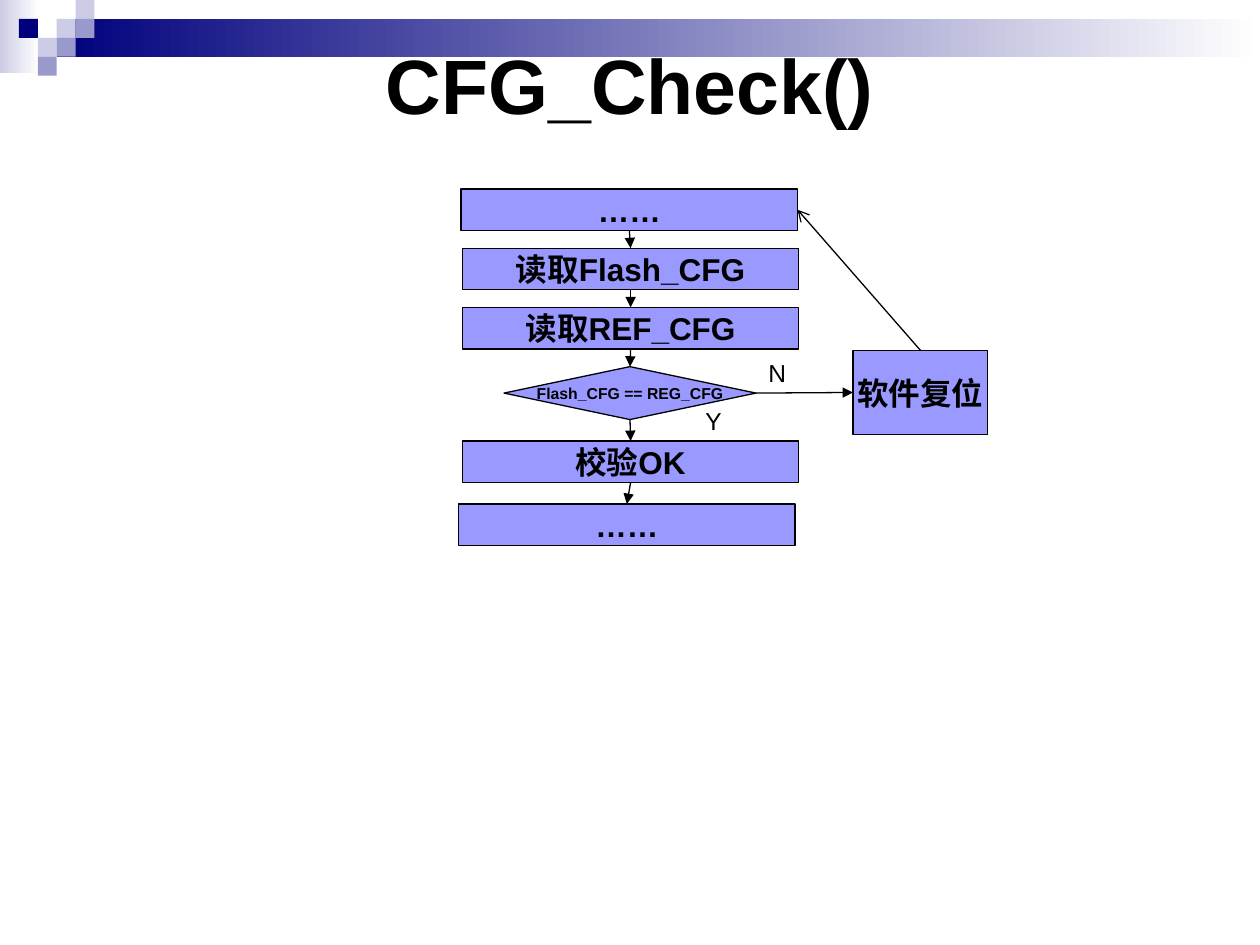
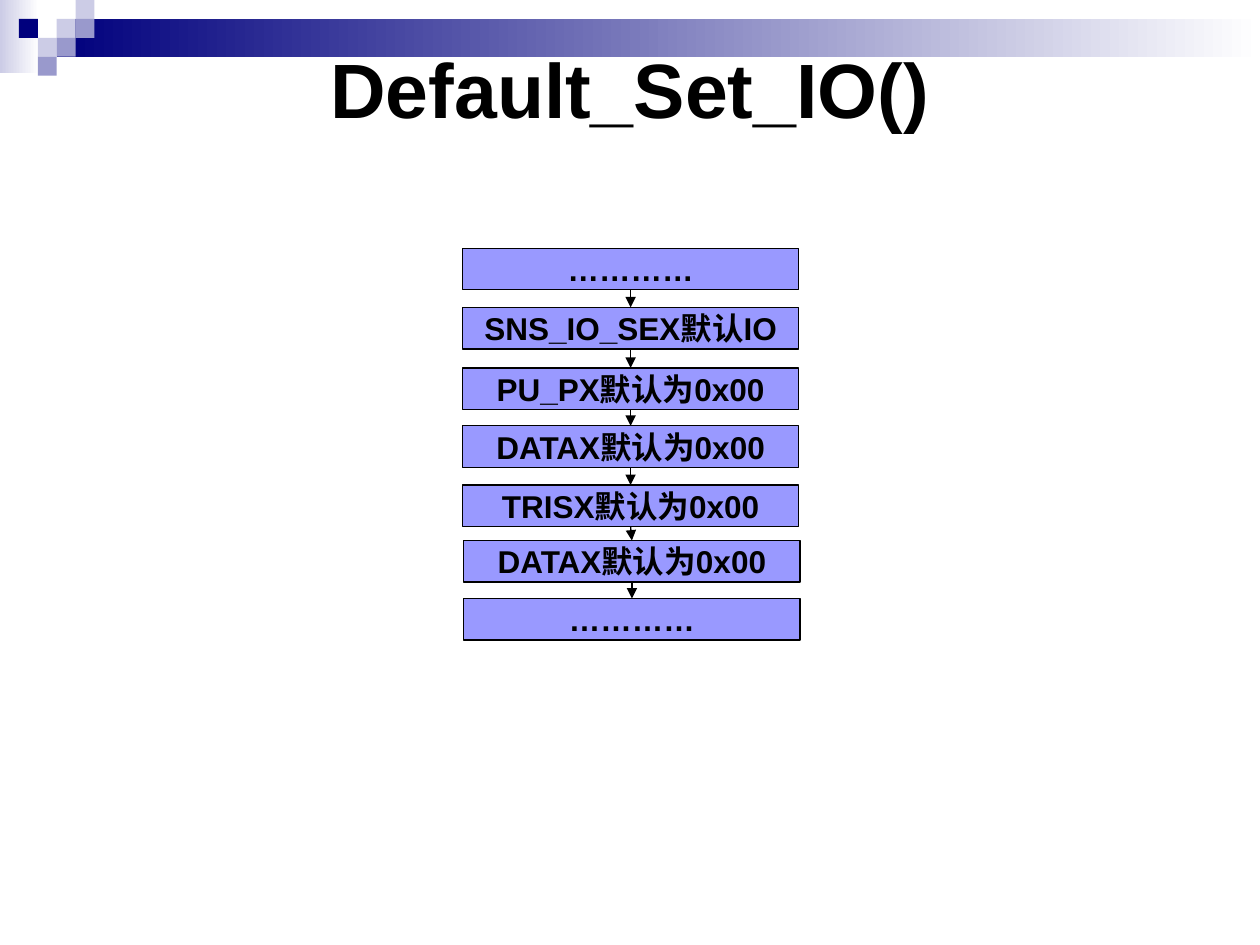
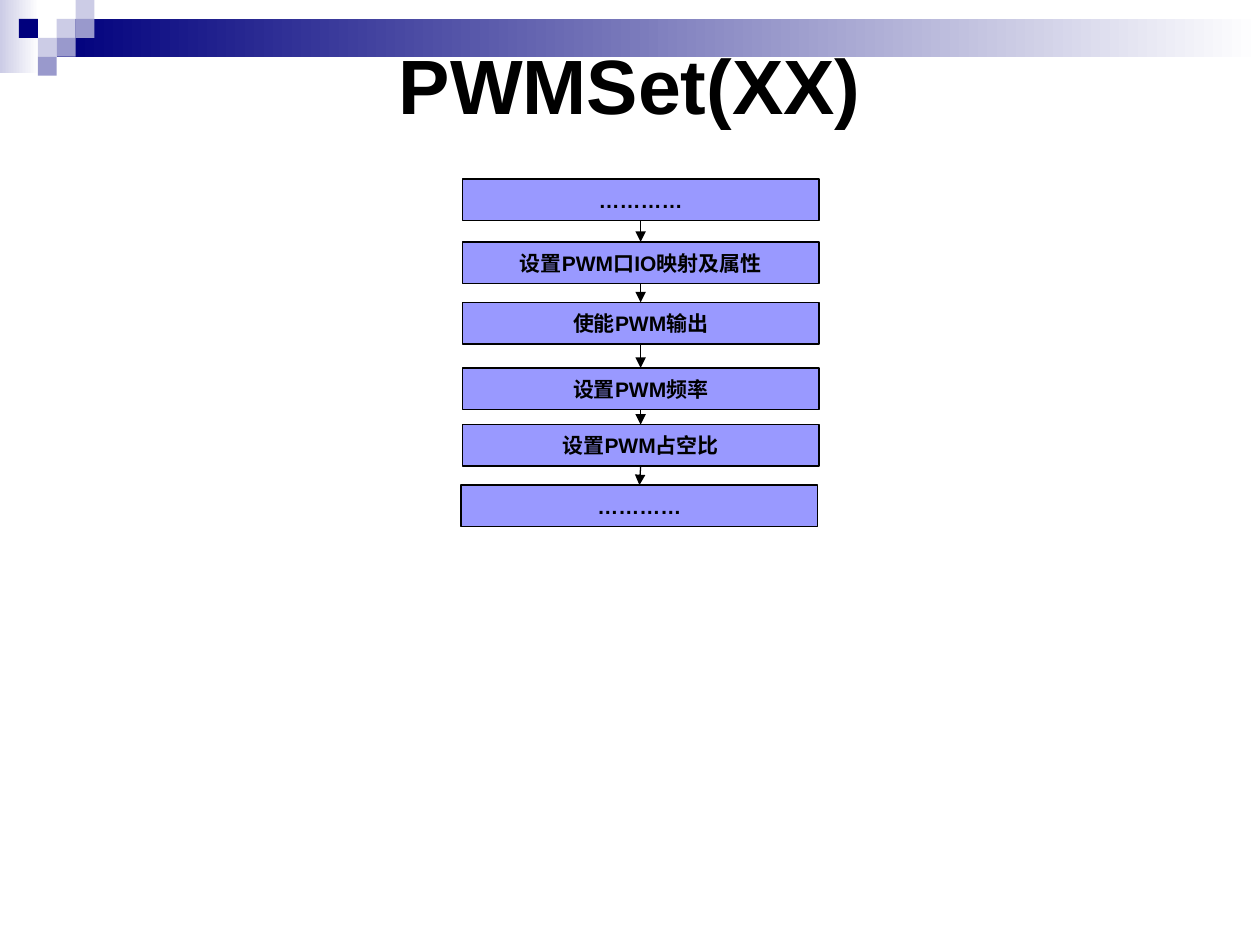
from itertools import pairwise
from lxml import etree
from pptx import Presentation
from pptx.dml.color import RGBColor
from pptx.enum.shapes import MSO_CONNECTOR, MSO_SHAPE
from pptx.enum.text import MSO_ANCHOR, MSO_AUTO_SIZE, PP_ALIGN
from pptx.oxml.ns import qn
from pptx.util import Inches, Pt

RECT, DIAMOND = MSO_SHAPE.RECTANGLE, MSO_SHAPE.DIAMOND
STRAIGHT = MSO_CONNECTOR.STRAIGHT
MIDDLE, TOP_ANCHOR = MSO_ANCHOR.MIDDLE, MSO_ANCHOR.TOP
CENTER, LEFT_ALIGN = PP_ALIGN.CENTER, PP_ALIGN.LEFT
FIXED = MSO_AUTO_SIZE.NONE
TOP, LEFT, BOTTOM, RIGHT = range(4)

FONT = "Arial"
BLACK, WHITE, BOX = "000000", "FFFFFF", "9999FF"
NAVY, PALE, MID = "00007D", "CCCCE6", "9999CC"
ROW = 0.33  # height of a step
TILE = 0.15  # side of a corner square


def rgb(code):
    return RGBColor.from_string(code)


def place(part, x, y, w, h):
    part.left, part.top = Inches(x), Inches(y)
    part.width, part.height = Inches(w), Inches(h)


def write(part, words, size=18, bold=True, align=CENTER, anchor=MIDDLE, wrap=True):
    frame = part.text_frame
    frame.word_wrap, frame.auto_size = wrap, FIXED
    frame.vertical_anchor = anchor
    para = frame.paragraphs[0]
    para.alignment = align
    run = para.add_run()
    run.text = words
    font = run.font
    font.name, font.size, font.bold = FONT, Pt(size), bold
    font.color.rgb = rgb(BLACK)


def shape(shapes, kind, x, y, w, h, fill, fade=None, line=None):
    part = shapes.add_shape(kind, Inches(x), Inches(y), Inches(w), Inches(h))
    part.shadow.inherit = False
    if fade:
        part.fill.gradient()
        part.fill.gradient_angle = 0
        for stop, code in zip(part.fill.gradient_stops, (fill, fade)):
            stop.color.rgb = rgb(code)
    else:
        part.fill.solid()
        part.fill.fore_color.rgb = rgb(fill)
    if line:
        part.line.color.rgb = rgb(line)
        part.line.width = Pt(0.75)
    else:
        part.line.fill.background()
    return part


def step(slide, words, x, y, w, h=ROW, size=18, kind=RECT):
    part = shape(slide.shapes, kind, x, y, w, h, BOX, line=BLACK)
    write(part, words, size=size, wrap=False)
    return part


def link(slide, start, end, out=BOTTOM, into=TOP, head="triangle"):
    wire = slide.shapes.add_connector(STRAIGHT, 0, 0, 0, 0)
    wire.begin_connect(start, out)
    wire.end_connect(end, into)
    wire.line.color.rgb = rgb(BLACK)
    wire.line.width = Pt(0.75)
    etree.SubElement(wire.line._get_or_add_ln(), qn("a:tailEnd"), type=head)
    etree.SubElement(wire._element.spPr, qn("a:effectLst"))


def note(slide, words, x, y):
    part = slide.shapes.add_textbox(Inches(x), Inches(y), Inches(0.33), Inches(0.34))
    write(part, words, size=14, bold=False, align=LEFT_ALIGN, anchor=TOP_ANCHOR)


def flow(slide, x, y, w, rows, size=18):
    """Stack of joined steps; each row is text, drop and side shift from x, y."""
    steps = [step(slide, words, x + shift, y + drop, w, size=size)
             for words, drop, shift in rows]
    for start, end in pairwise(steps):
        link(slide, start, end)
    return steps


def band(deck, slide):
    """Corner squares and faded bar, grouped and moved to the master."""
    group = slide.shapes.add_group_shape()
    shape(group.shapes, RECT, 0, 0, 0.31, 0.58, PALE, fade=WHITE)
    shape(group.shapes, RECT, 0.45, 0.15, 9.55, 0.3, NAVY, fade=WHITE)
    tiles = [(3, 1, PALE), (4, 0, PALE), (4, 1, MID), (2, 2, PALE),
             (1, 1, NAVY), (3, 2, MID), (2, 3, MID)]
    for col, row, fill in tiles:
        shape(group.shapes, RECT, col * TILE, row * TILE, TILE, TILE, fill)
    deck.slide_master.shapes.element.insert(2, group._element)


def page(deck, title, y=0.5, h=0.33):
    slide = deck.slides.add_slide(deck.slide_layouts[5])
    place(slide.shapes.title, 0.5, y, 9, h)
    write(slide.shapes.title, title, size=44)
    return slide


def check(slide, x, y):
    """Configuration check with a test and a reset branch."""
    w = 2.67
    read = flow(slide, x, y, w, [("……", 0, -0.01), ("读取Flash_CFG", 0.47, 0),
                                 ("读取REF_CFG", 0.94, 0)])
    done = flow(slide, x, y, w, [("校验OK", 2, 0), ("……", 2.5, -0.03)])
    test = step(slide, "Flash_CFG == REG_CFG", x + 0.33, y + 1.41, 2, 0.42,
                size=9, kind=DIAMOND)
    reset = step(slide, "软件复位", x + 3.1, y + 1.28, 1.07, 0.67)
    link(slide, read[-1], test)
    link(slide, test, done[0])
    link(slide, test, reset, RIGHT, LEFT)
    link(slide, reset, read[0], TOP, RIGHT, head="arrow")
    note(slide, "Y", x + 1.83, y + 1.67)
    note(slide, "N", x + 2.33, y + 1.29)


def main():
    deck = Presentation()
    deck.slide_width, deck.slide_height = Inches(10), Inches(7.5)

    # Configuration check
    slide = page(deck, "CFG_Check()")
    band(deck, slide)
    check(slide, 3.67, 1.5)

    # Default port settings
    slide = page(deck, "Default_Set_IO()", y=0.42, h=0.55)
    flow(slide, 3.67, 1.97, 2.67, [
        ("…………", 0, 0), ("SNS_IO_SEX默认IO", 0.47, 0),
        ("PU_PX默认为0x00", 0.95, 0), ("DATAX默认为0x00", 1.41, 0),
        ("TRISX默认为0x00", 1.88, 0), ("DATAX默认为0x00", 2.32, 0.01),
        ("…………", 2.78, 0.01)])

    # PWM settings
    slide = page(deck, "PWMSet(XX)")
    flow(slide, 3.67, 1.42, 2.83, [
        ("…………", 0, 0), ("设置PWM口IO映射及属性", 0.5, 0),
        ("使能PWM输出", 0.98, 0), ("设置PWM频率", 1.5, 0),
        ("设置PWM占空比", 1.95, 0), ("…………", 2.43, -0.01)], size=12)

    deck.save("out.pptx")


if __name__ == "__main__":
    main()
